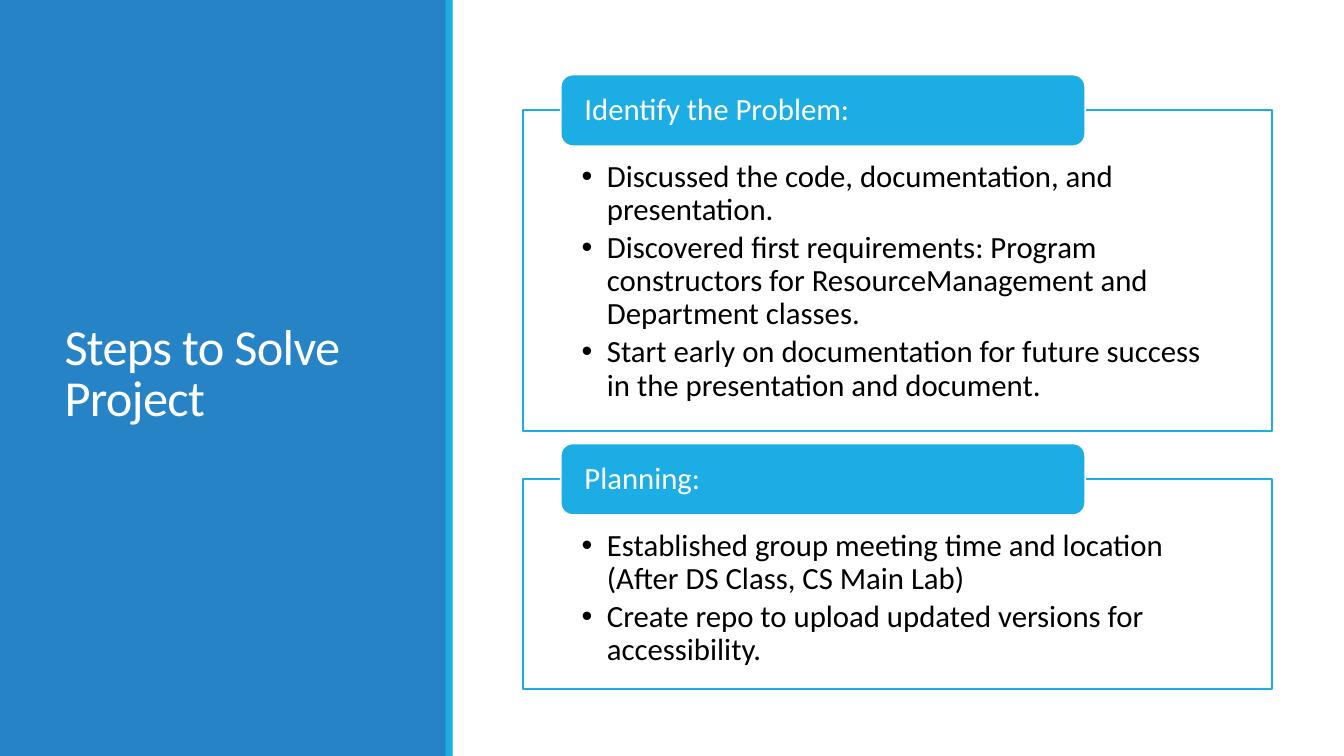
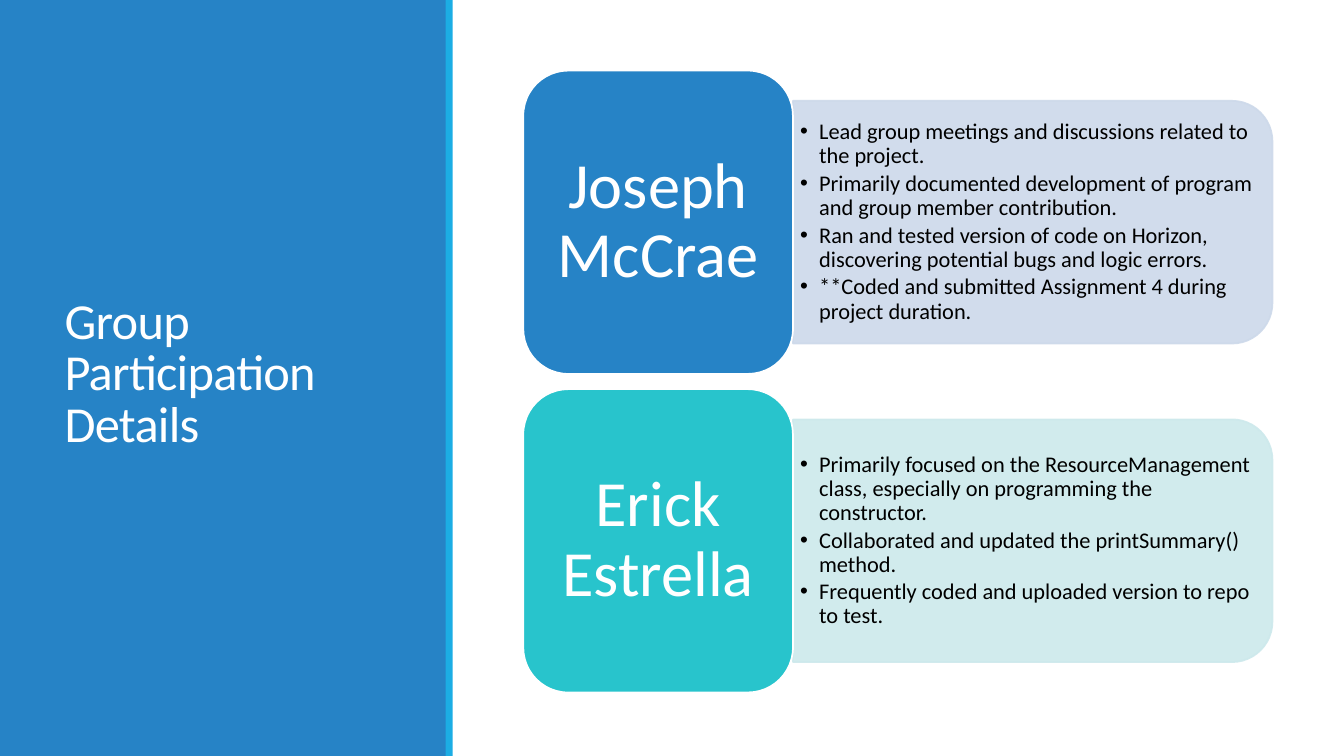
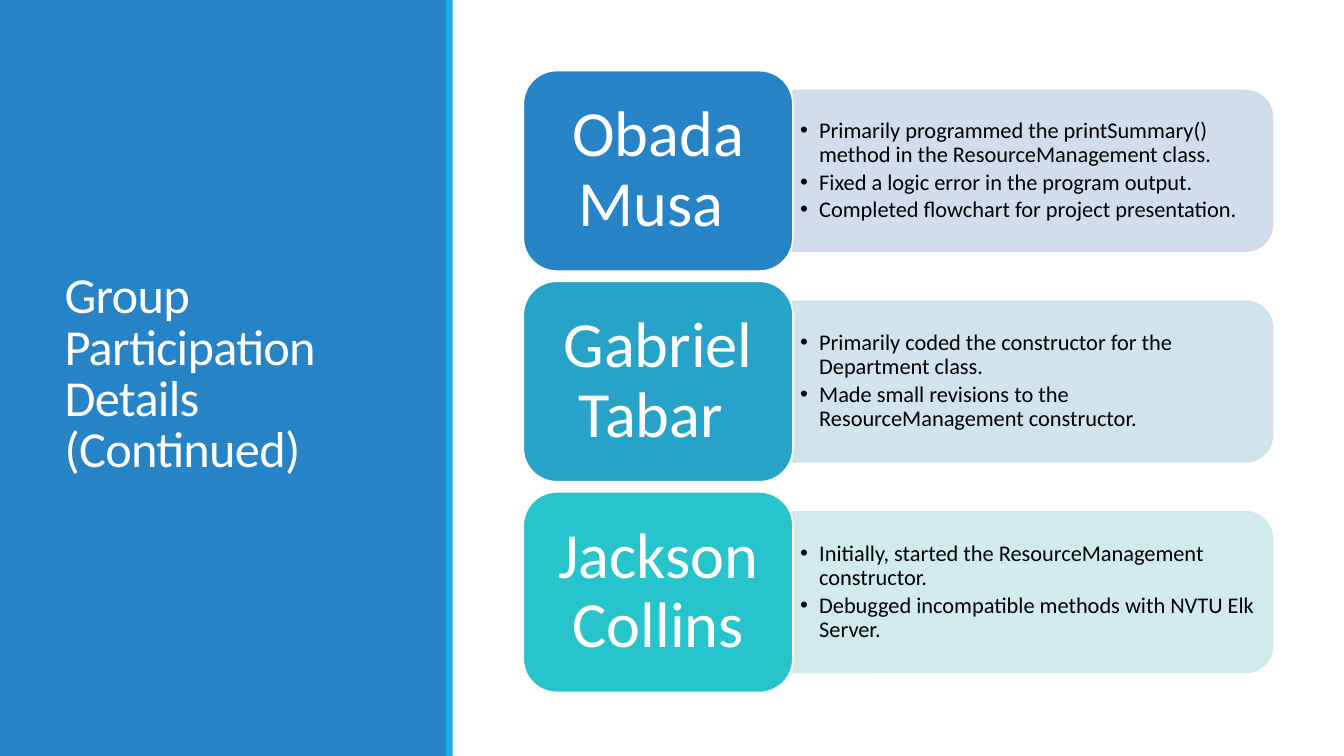
from dataclasses import dataclass

from lxml import etree
from pptx import Presentation
from pptx import util as u
from pptx.dml.color import RGBColor
from pptx.enum import shapes, text
from pptx.oxml.ns import qn


@dataclass(frozen=True)
class Theme:
    """Colours, font and type sizes shared by the slides."""
    font: str = "Calibri"
    white: str = "FFFFFF"
    black: str = "000000"
    blue: str = "2683C6"
    sky: str = "1CADE4"
    ocean: str = "27A3C9"
    teal: str = "28C4CC"
    pale_blue: str = "CDD9EA"
    pale_ocean: str = "CDE1EB"
    pale_teal: str = "CDE9EC"
    title_size: int = 36
    step_size: int = 22
    name_size: int = 46
    duty_size: int = 16
    outline: float = 1.25


THEME = Theme()
KIND = shapes.MSO_SHAPE
CONTENT = (5.19, 0.7, 7.43, 6.17)

STEPS = [
    ("Identify the Problem:", 0.74, 3.18, [
        "Discussed the code, documentation, and presentation.",
        "Discovered first requirements: Program constructors for "
        "ResourceManagement and Department classes.",
        "Start early on documentation for future success in the "
        "presentation and document."]),
    ("Planning:", 4.4, 2.08, [
        "Established group meeting time and location (After DS Class, CS Main Lab)",
        "Create repo to upload updated versions for accessibility."]),
]

LEADS = [
    ("Joseph McCrae", THEME.blue, THEME.pale_blue, [
        "Lead group meetings and discussions related to the project.",
        "Primarily documented development of program and group member contribution.",
        "Ran and tested version of code on Horizon, discovering potential "
        "bugs and logic errors.",
        "**Coded and submitted Assignment 4 during project duration."]),
    ("Erick Estrella ", THEME.teal, THEME.pale_teal, [
        "Primarily focused on the ResourceManagement class, especially on "
        "programming the constructor.",
        "Collaborated and updated the printSummary() method.",
        "Frequently coded and uploaded version to repo to test."]),
]

MEMBERS = [
    ("Obada Musa ", THEME.blue, THEME.pale_blue, [
        "Primarily programmed the printSummary() method in the "
        "ResourceManagement class.",
        "Fixed a logic error in the program output.",
        "Completed flowchart for project presentation."]),
    ("Gabriel Tabar ", THEME.ocean, THEME.pale_ocean, [
        "Primarily coded the constructor for the Department class.",
        "Made small revisions to the ResourceManagement constructor."]),
    ("Jackson Collins", THEME.teal, THEME.pale_teal, [
        "Initially, started the ResourceManagement constructor.",
        "Debugged incompatible methods with NVTU Elk Server."]),
]


def paint(fill, color, opacity):
    """Give a fill a solid colour, see-through when opacity is below 100."""
    fill.solid()
    fill.fore_color.rgb = RGBColor.from_string(color)
    if opacity < 100:
        tint = next(fill._xPr.iter(qn("a:srgbClr")))
        etree.SubElement(tint, qn("a:alpha"), val=str(opacity * 1000))


def add_box(slide, kind, box, color, line=None, opacity=100, line_opacity=100):
    """Add a preset shape with its fill and optional outline."""
    shape = slide.shapes.add_shape(kind, *map(u.Inches, box))
    shape.shadow.inherit = False
    paint(shape.fill, color, opacity)
    if line:
        paint(shape.line.fill, line, line_opacity)
        shape.line.width = u.Pt(THEME.outline)
    else:
        shape.line.fill.background()
    return shape


def write(shape, lines, size, color=THEME.white, align=text.PP_ALIGN.LEFT,
          anchor=text.MSO_ANCHOR.MIDDLE, insets=(0.1, 0.05, 0.1, 0.05),
          spacing=0.9, after=0, bullet=0, tracking=0):
    """Fill a shape with paragraphs in one format."""
    frame = shape.text_frame
    frame.word_wrap = True
    frame.auto_size = text.MSO_AUTO_SIZE.NONE
    frame.vertical_anchor = anchor
    (frame.margin_left, frame.margin_top,
     frame.margin_right, frame.margin_bottom) = map(u.Inches, insets)
    for index, line in enumerate(lines):
        paragraph = frame.add_paragraph() if index else frame.paragraphs[0]
        paragraph.alignment = align
        paragraph.line_spacing = spacing
        paragraph.space_after = u.Pt(size * after)
        run = paragraph.add_run()
        run.text = line
        run.font.name = THEME.font
        run.font.size = u.Pt(size)
        run.font.color.rgb = RGBColor.from_string(color)
        if tracking:
            run._r.get_or_add_rPr().set("spc", str(int(tracking * 100)))
        if bullet:
            props = paragraph._p.get_or_add_pPr()
            props.set("marL", str(u.Inches(bullet)))
            props.set("indent", str(-u.Inches(bullet)))
            etree.SubElement(props, qn("a:buFont"), typeface="Arial")
            etree.SubElement(props, qn("a:buChar"), char="•")


def add_titled_slide(deck, heading):
    """Add a slide with the blue side panel and its title."""
    slide = deck.slides.add_slide(deck.slide_layouts[5])
    add_box(slide, KIND.RECTANGLE, (0, 0, 4.43, 7.5), THEME.blue)
    add_box(slide, KIND.RECTANGLE, (4.42, 0, 0.07, 7.5), THEME.sky)
    title = slide.shapes.title
    title.left, title.top, title.width, title.height = map(
        u.Inches, (0.54, 0.57, 3.37, 6.31))
    write(title, [heading], THEME.title_size, spacing=0.85, tracking=-0.5)
    slide.shapes._spTree.append(title._element)
    return slide


def add_step(slide, box, label, points):
    """Add an outlined list whose label straddles the top edge."""
    left, top, width, height = box
    label_height = 0.71
    outline = add_box(slide, KIND.RECTANGLE,
                      (left, top + label_height / 2, width, height),
                      THEME.white, line=THEME.sky, opacity=90)
    write(outline, points, THEME.step_size, color=THEME.black,
          anchor=text.MSO_ANCHOR.TOP, insets=(0.58, 0.5, 0.58, 0.17),
          after=0.15, bullet=0.25)
    tab = add_box(slide, KIND.ROUNDED_RECTANGLE,
                  (left + width * 0.05, top, width * 0.7, label_height),
                  THEME.sky, line=THEME.white)
    write(tab, [label], THEME.step_size, insets=(0.2, 0, 0.2, 0), after=0.35)


def add_member(slide, box, name, color, pale, duties):
    """Add a name block with a panel of duties on its right."""
    left, top, width, height = box
    name_width = width * 0.36
    panel_left, panel_width = left + name_width, width - name_width
    panel_height = height * 0.8
    panel_top = top + height * 0.1
    shift = (panel_width - panel_height) / 2
    panel = add_box(slide, KIND.ROUND_2_SAME_RECTANGLE,
                    (panel_left + shift, panel_top - shift, panel_height, panel_width),
                    pale, line=pale, opacity=90, line_opacity=90)
    panel.rotation = 90
    corner = panel_height * 0.05
    listing = slide.shapes.add_textbox(*map(u.Inches, (
        panel_left, panel_top + corner,
        panel_width - corner, panel_height - 2 * corner)))
    write(listing, duties, THEME.duty_size, color=THEME.black,
          insets=(0.07, 0.03, 0.07, 0.03), after=0.15, bullet=0.19)
    block = add_box(slide, KIND.ROUNDED_RECTANGLE, (left, top, name_width, height),
                    color, line=THEME.white)
    write(block, [name], THEME.name_size, align=text.PP_ALIGN.CENTER,
          insets=(0.19, 0.1, 0.19, 0.1), after=0.35)


def add_steps_slide(deck, heading, steps):
    """Build a slide of labelled steps."""
    slide = add_titled_slide(deck, heading)
    for label, top, height, points in steps:
        add_step(slide, (CONTENT[0], top, CONTENT[2], height), label, points)


def add_members_slide(deck, heading, members):
    """Build a slide of members in equal rows, the gap a twentieth of a row."""
    slide = add_titled_slide(deck, heading)
    left, top, width, height = CONTENT
    row = height / (len(members) * 1.05 - 0.05)
    for index, member in enumerate(members):
        add_member(slide, (left, top + index * row * 1.05, width, row), *member)


def main():
    """Build and save the deck."""
    deck = Presentation()
    deck.slide_width, deck.slide_height = u.Inches(13.33), u.Inches(7.5)
    add_steps_slide(deck, "Steps to Solve Project", STEPS)
    add_members_slide(deck, "Group Participation Details", LEADS)
    add_members_slide(deck, "Group Participation Details (Continued)", MEMBERS)
    deck.save("out.pptx")


if __name__ == "__main__":
    main()
